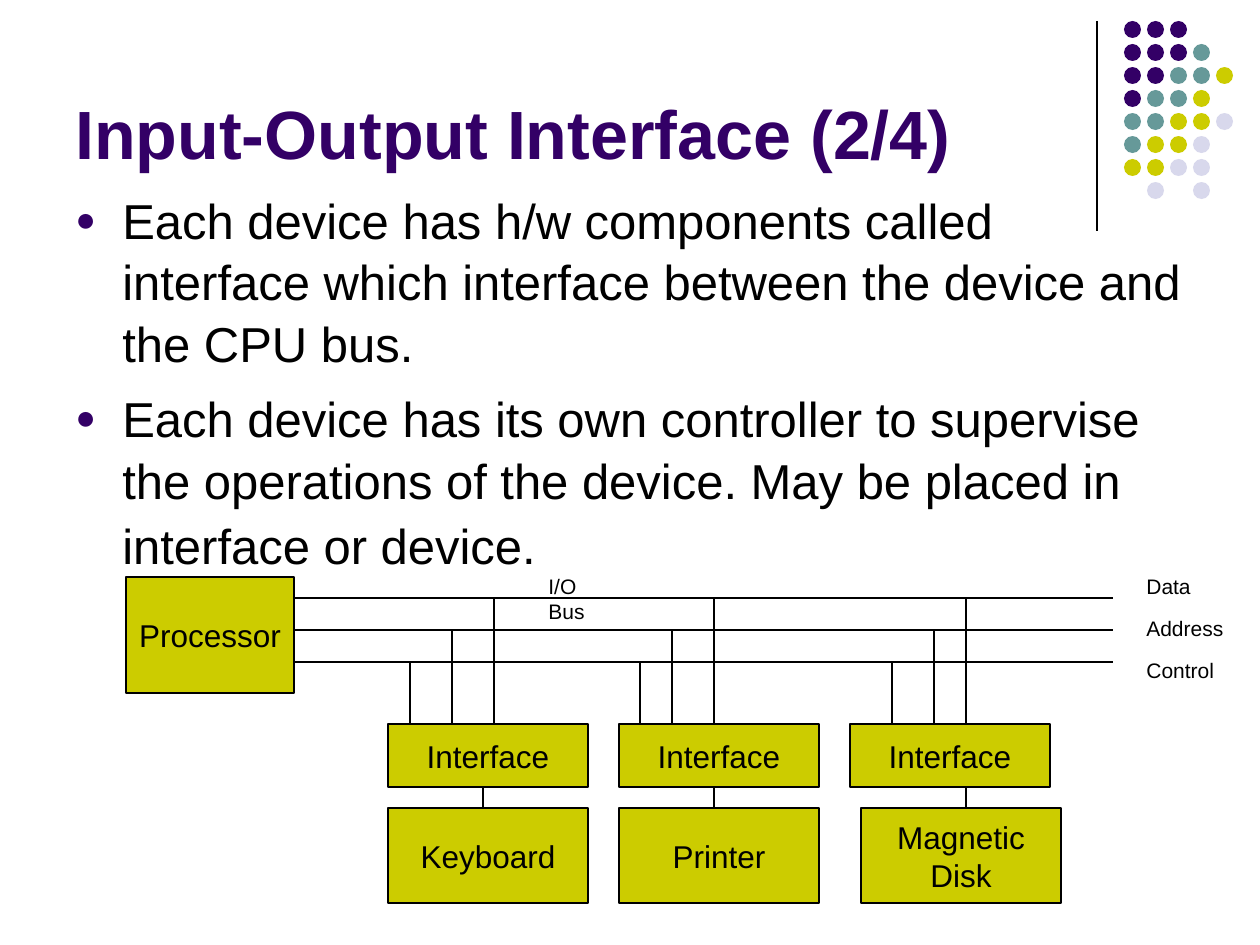
"""Build the Input-Output Interface slide with its bus diagram."""
import lxml.etree
import pptx
import pptx.dml.color
import pptx.enum.shapes
import pptx.enum.text
import pptx.oxml.ns
import pptx.util

COLORS = {"purple": "330066", "teal": "669999", "olive": "CCCC00",
          "lilac": "D8D8EC", "black": "000000"}
TITLE = "Input-Output Interface (2/4)"
BULLETS = [
    [("Each device has h/w components called interface which interface "
      "between the device and the CPU bus.", 28)],
    [("Each device has its own controller to supervise the operations of "
      "the device. May be placed in interface or device.", 28), (" ", 30)],
]
DOT_ROWS = ["PPP", "PPPT", "PPTTO", "PTTO", "TTOOL", "TOOL", "OOLL", " L L"]
DOT_COLORS = {"P": "purple", "T": "teal", "O": "olive", "L": "lilac"}
DOT_LEFT, DOT_TOP, DOT_STEP, DOT_SIZE = 1124, 21, 23, 17
DIVIDER = (1097, 21, 1097, 231)
PROCESSOR = (126, 577, 168, 116)
BUS_YS = [598, 630, 662]
BUS_END = 1113
LABELS = [("Data", 1134, 567, 95), ("Address", 1134, 609, 126),
          ("Control", 1134, 651, 95), ("I/O Bus", 536, 567, 94)]
DEVICES = [
    {"name": ["Keyboard"], "left": 388, "device_left": 388,
     "taps": [494, 452, 410], "link": 483},
    {"name": ["Printer"], "left": 619, "device_left": 619,
     "taps": [714, 672, 640], "link": 714},
    {"name": ["Magnetic", "Disk"], "left": 850, "device_left": 861,
     "taps": [966, 934, 892], "link": 966},
]
BOX_WIDTH = 200
INTERFACE_TOP, INTERFACE_HEIGHT = 724, 63
DEVICE_TOP, DEVICE_HEIGHT = 808, 95


def px(n):
    return pptx.util.Emu(round(n * 914400 / 126))


def rgb(name):
    return pptx.dml.color.RGBColor.from_string(COLORS[name])


def apply(obj, **values):
    for key, value in values.items():
        setattr(obj, key, value)


def add_run(p, text, size, color="black", bold=False):
    r = p.add_run()
    r.text = text
    apply(r.font, name="Arial", size=pptx.util.Pt(size), bold=bold)
    r.font.color.rgb = rgb(color)


def add_text(s, left, top, width, height, **frame):
    sp = s.shapes.add_textbox(*map(px, (left, top, width, height)))
    apply(sp.text_frame, word_wrap=True, **frame)
    return sp.text_frame


def add_line(s, x1, y1, x2, y2):
    line = s.shapes.add_connector(
        pptx.enum.shapes.MSO_CONNECTOR.STRAIGHT, *map(px, (x1, y1, x2, y2)))
    line.line.color.rgb = rgb("black")
    line.line.width = pptx.util.Pt(0.75)
    lxml.etree.SubElement(line._element.spPr, pptx.oxml.ns.qn("a:effectLst"))


def add_shape(s, kind, color, left, top, width, height):
    sp = s.shapes.add_shape(kind, *map(px, (left, top, width, height)))
    sp.shadow.inherit = False
    sp.fill.solid()
    sp.fill.fore_color.rgb = rgb(color)
    return sp


def add_box(s, lines, *area):
    sp = add_shape(s, pptx.enum.shapes.MSO_SHAPE.RECTANGLE, "olive", *area)
    sp.line.color.rgb = rgb("black")
    sp.line.width = pptx.util.Pt(0.75)
    tf = sp.text_frame
    apply(tf, word_wrap=False, vertical_anchor=pptx.enum.text.MSO_ANCHOR.MIDDLE)
    for i, line in enumerate(lines):
        p = tf.add_paragraph() if i else tf.paragraphs[0]
        p.alignment = pptx.enum.text.PP_ALIGN.CENTER
        add_run(p, line, 18)


def add_bullet(p):
    qn = pptx.oxml.ns.qn
    pPr = p._p.get_or_add_pPr()
    apply_indent = {"marL": px(47), "indent": px(-47)}
    for key, value in apply_indent.items():
        pPr.set(key, str(int(value)))
    clr = lxml.etree.SubElement(pPr, qn("a:buClr"))
    lxml.etree.SubElement(clr, qn("a:srgbClr"), val=COLORS["purple"])
    lxml.etree.SubElement(pPr, qn("a:buSzPct"), val="70000")
    lxml.etree.SubElement(pPr, qn("a:buFont"), typeface="Arial")
    lxml.etree.SubElement(pPr, qn("a:buChar"), char="●")


def add_dots(s):
    for row, codes in enumerate(DOT_ROWS):
        for col, code in enumerate(codes):
            if code in DOT_COLORS:
                sp = add_shape(s, pptx.enum.shapes.MSO_SHAPE.OVAL,
                               DOT_COLORS[code], DOT_LEFT + col * DOT_STEP,
                               DOT_TOP + row * DOT_STEP, DOT_SIZE, DOT_SIZE)
                sp.line.fill.background()


def add_heading_and_bullets(s):
    tf = add_text(s, 63, 0, 1040, 179,
                  vertical_anchor=pptx.enum.text.MSO_ANCHOR.BOTTOM)
    add_run(tf.paragraphs[0], TITLE, 39, "purple", True)
    tf = add_text(s, 63, 181, 1134, 380)
    for i, runs in enumerate(BULLETS):
        p = tf.add_paragraph() if i else tf.paragraphs[0]
        add_bullet(p)
        p.line_spacing = 1.05
        if i:
            p.space_before = pptx.util.Pt(7.5)
        for text, size in runs:
            add_run(p, text, size)


def add_diagram(s):
    add_box(s, ["Processor"], *PROCESSOR)
    for y in BUS_YS:
        add_line(s, PROCESSOR[0] + PROCESSOR[2], y, BUS_END, y)
    for d in DEVICES:
        add_box(s, ["Interface"], d["left"], INTERFACE_TOP, BOX_WIDTH,
                INTERFACE_HEIGHT)
        add_box(s, d["name"], d["device_left"], DEVICE_TOP, BOX_WIDTH,
                DEVICE_HEIGHT)
        add_line(s, d["link"], INTERFACE_TOP + INTERFACE_HEIGHT,
                 d["link"], DEVICE_TOP)
        for x, y in zip(d["taps"], BUS_YS):
            add_line(s, x, y, x, INTERFACE_TOP)
    for text, left, top, width in LABELS:
        tf = add_text(s, left, top, width, 38)
        add_run(tf.paragraphs[0], text, 12)


def main():
    prs = pptx.Presentation()
    apply(prs, slide_width=px(1260), slide_height=px(945))
    s = prs.slides.add_slide(prs.slide_layouts[6])
    add_line(s, *DIVIDER)
    add_dots(s)
    add_heading_and_bullets(s)
    add_diagram(s)
    prs.save("out.pptx")


if __name__ == "__main__":
    main()
